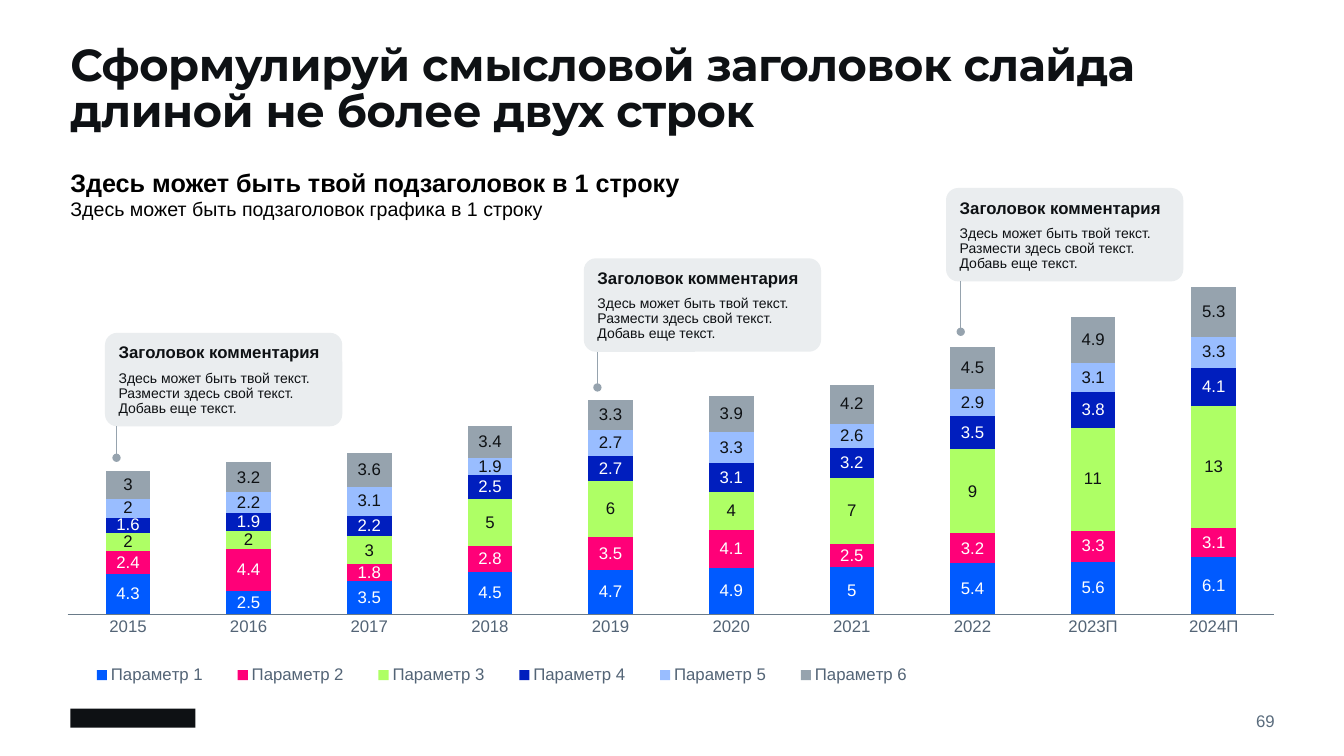
from lxml.etree import SubElement
from pptx import Presentation
from pptx.chart.data import CategoryChartData
from pptx.dml.color import RGBColor
from pptx.enum.chart import XL_CHART_TYPE, XL_LABEL_POSITION, XL_LEGEND_POSITION, XL_TICK_MARK
from pptx.enum.shapes import MSO_CONNECTOR, MSO_SHAPE
from pptx.enum.text import MSO_ANCHOR, PP_ALIGN
from pptx.oxml import parse_xml
from pptx.oxml.ns import nsdecls, qn
from pptx.util import Pt

PX = 9525
DARK, WHITE, GREY, SLATE, CARD = "0E1114", "FFFFFF", "96A3AE", "536476", "EAEDEF"

TITLE = "Сформулируй смысловой заголовок слайда длиной не более двух строк"
SUBTITLES = [
    ("Здесь может быть твой подзаголовок в 1 строку", 18, True),
    ("Здесь может быть подзаголовок графика в 1 строку", 14, False),
]
COMMENT = [
    ("Заголовок комментария", 12, True),
    ("Здесь может быть твой текст. Размести здесь свой текст. Добавь еще текст.", 10, False),
]
CALLOUTS = [
    {"left": 100, "top": 317, "dot": (111, 436)},
    {"left": 556, "top": 246, "dot": (569, 369)},
    {"left": 901, "top": 179, "dot": (915, 316)},
]
CARD_WIDTH, CARD_HEIGHT = 226, 89
YEARS = ["2015", "2016", "2017", "2018", "2019", "2020", "2021", "2022", "2023П", "2024П"]
SERIES = [
    ("Параметр 1", "005AFF", WHITE, (4.3, 2.5, 3.5, 4.5, 4.7, 4.9, 5, 5.4, 5.6, 6.1)),
    ("Параметр 2", "FF0078", WHITE, (2.4, 4.4, 1.8, 2.8, 3.5, 4.1, 2.5, 3.2, 3.3, 3.1)),
    ("Параметр 3", "AEFF65", DARK, (2, 2, 3, 5, 6, 4, 7, 9, 11, 13)),
    ("Параметр 4", "001EBE", WHITE, (1.6, 1.9, 2.2, 2.5, 2.7, 3.1, 3.2, 3.5, 3.8, 4.1)),
    ("Параметр 5", "99BDFF", DARK, (2, 2.2, 3.1, 1.9, 2.7, 3.3, 2.6, 2.9, 3.1, 3.3)),
    ("Параметр 6", GREY, DARK, (3, 3.2, 3.6, 3.4, 3.3, 3.9, 4.2, 4.5, 4.9, 5.3)),
]


def color(value):
    return RGBColor.from_string(value)


def px(*lengths):
    return [length * PX for length in lengths]


def style(font, size, value, bold=False, name="Arial"):
    font.name, font.size, font.bold = name, Pt(size), bold
    font.color.rgb = color(value)


def clear_margins(frame):
    frame.word_wrap = True
    frame.margin_left = frame.margin_right = frame.margin_top = frame.margin_bottom = 0


def add_text(slide, box, lines, value, line_spacing=None, space_after=None):
    frame = slide.shapes.add_textbox(*px(*box)).text_frame
    clear_margins(frame)
    frame.text = "\n".join(text for text, size, bold in lines)
    for paragraph, (text, size, bold) in zip(frame.paragraphs, lines):
        paragraph.line_spacing, paragraph.space_after = line_spacing, space_after
        style(paragraph.runs[0].font, size, value, bold)
    return frame


def add_block(slide, kind, box, value):
    shape = slide.shapes.add_shape(kind, *px(*box))
    shape.shadow.inherit = False
    shape.fill.solid()
    shape.fill.fore_color.rgb = color(value)
    shape.line.fill.background()
    return shape


def add_title(slide):
    title = slide.shapes.title
    title.left, title.top, title.width, title.height = px(67, 43, 1145, 86)
    frame = title.text_frame
    frame.text = TITLE
    clear_margins(frame)
    frame.vertical_anchor = MSO_ANCHOR.TOP
    paragraph = frame.paragraphs[0]
    paragraph.alignment, paragraph.line_spacing = PP_ALIGN.LEFT, 0.85
    style(paragraph.runs[0].font, 32, DARK, True, "Montserrat")
    paragraph.runs[0].font._element.set("spc", "-30")


def add_callout(slide, left, top, dot):
    card = add_block(slide, MSO_SHAPE.ROUNDED_RECTANGLE, (left, top, CARD_WIDTH, CARD_HEIGHT), CARD)
    card.adjustments[0] = 0.13
    add_text(slide, (left + 13, top + 11, 199, 67), COMMENT, DARK, 0.9, Pt(6))
    x, y = dot
    pointer = slide.shapes.add_connector(MSO_CONNECTOR.STRAIGHT, *px(x, y, x, top + CARD_HEIGHT))
    pointer.line.color.rgb = color(GREY)
    pointer.line.width = Pt(1)
    SubElement(pointer.line._get_or_add_ln(), qn("a:headEnd"), type="oval")
    SubElement(pointer._element.spPr, qn("a:effectLst"))


def manual_layout(x, y, width, height, target=""):
    return parse_xml(
        f'<c:layout {nsdecls("c")}><c:manualLayout>{target}'
        '<c:xMode val="edge"/><c:yMode val="edge"/>'
        f'<c:x val="{x}"/><c:y val="{y}"/><c:w val="{width}"/><c:h val="{height}"/>'
        '</c:manualLayout></c:layout>'
    )


def place(element, layout):
    for old in element.findall(qn("c:layout")):
        element.remove(old)
    position = 1 if element.find(qn("c:legendPos")) is not None else 0
    element.insert(position, layout)


def add_stacked_chart(slide):
    data = CategoryChartData()
    data.categories = YEARS
    for name, fill, label, values in SERIES:
        data.add_series(name, values)
    chart = slide.shapes.add_chart(XL_CHART_TYPE.COLUMN_STACKED, *px(64, 228, 1150, 430), data).chart
    chart.has_title = False
    style(chart.font, 10, DARK)

    plot = chart.plots[0]
    plot.gap_width, plot.overlap, plot.vary_by_categories = 170, 100, False
    for series, (name, fill, label, values) in zip(plot.series, SERIES):
        series.format.fill.solid()
        series.format.fill.fore_color.rgb = color(fill)
        labels = series.data_labels
        labels.show_value = True
        labels.position = XL_LABEL_POSITION.CENTER
        style(labels.font, 12, label)

    years = chart.category_axis
    years.major_tick_mark = XL_TICK_MARK.NONE
    years.format.line.color.rgb = color("6A7B89")
    years.format.line.width = Pt(0.75)
    style(years.tick_labels.font, 12, SLATE)
    scale = chart.value_axis
    scale.minimum_scale, scale.maximum_scale = 0, 40
    scale.has_major_gridlines = scale.visible = False

    chart.has_legend = True
    legend = chart.legend
    legend.position, legend.include_in_layout = XL_LEGEND_POSITION.BOTTOM, False
    style(legend.font, 12, SLATE)
    place(legend._element, manual_layout(0, 0.93, 0.72, 0.07))
    inner = '<c:layoutTarget val="inner"/>'
    place(chart._chartSpace.chart.plotArea, manual_layout(0, 0, 1, 0.83, inner))


def main():
    presentation = Presentation()
    presentation.slide_width, presentation.slide_height = px(1280, 720)
    slide = presentation.slides.add_slide(presentation.slide_layouts[5])
    add_title(slide)
    add_block(slide, MSO_SHAPE.RECTANGLE, (67, 675, 119, 18), DARK)
    add_stacked_chart(slide)
    number = add_text(slide, (1119, 675, 95, 23), [("69", 12, False)], "5A6C7D")
    number.vertical_anchor = MSO_ANCHOR.MIDDLE
    number.paragraphs[0].alignment = PP_ALIGN.RIGHT
    add_text(slide, (67, 159, 668, 52), SUBTITLES, "000000")
    for callout in CALLOUTS:
        add_callout(slide, **callout)
    presentation.save("out.pptx")


if __name__ == "__main__":
    main()
